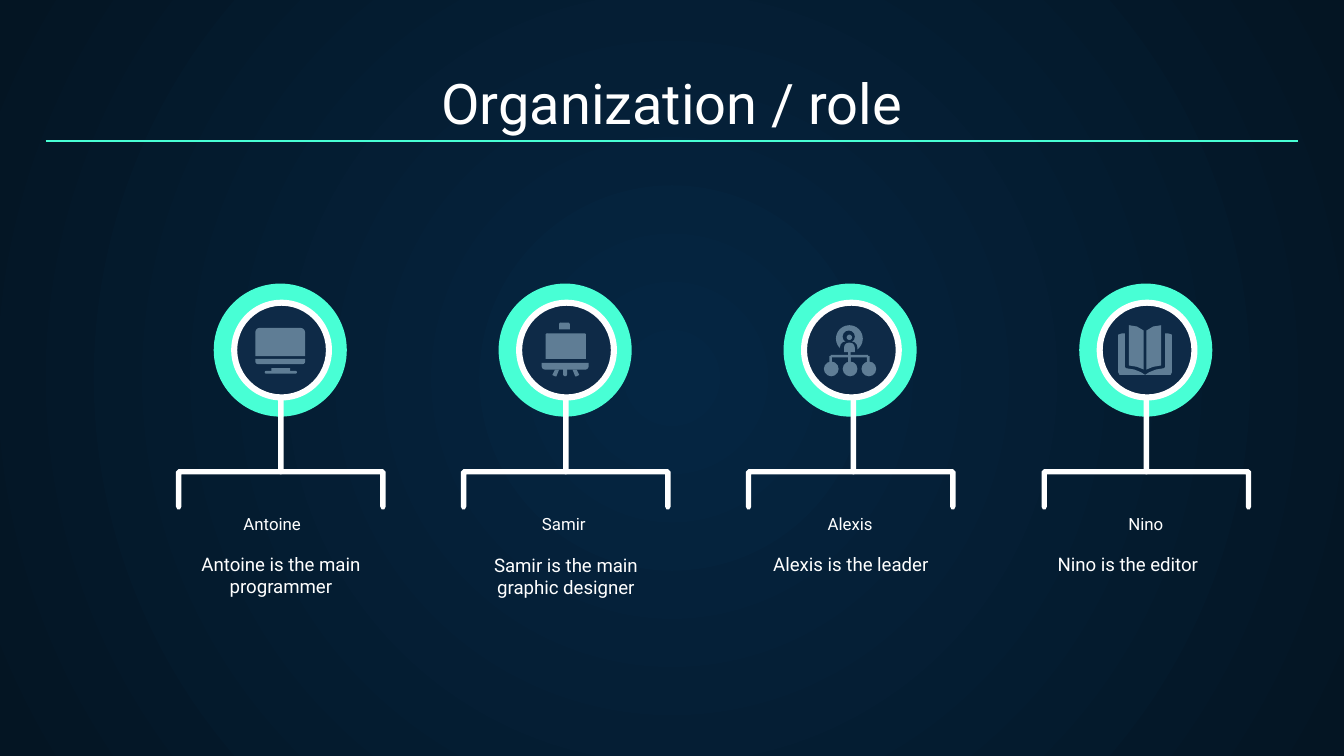
from lxml import etree
from pptx import Presentation
from pptx.dml.color import RGBColor
from pptx.enum.shapes import MSO_CONNECTOR, MSO_SHAPE
from pptx.enum.text import MSO_ANCHOR, PP_ALIGN
from pptx.oxml.ns import qn
from pptx.util import Inches, Pt

OVAL, RECT, RING = MSO_SHAPE.OVAL, MSO_SHAPE.RECTANGLE, MSO_SHAPE.DONUT
ROUND, DOME = MSO_SHAPE.ROUNDED_RECTANGLE, MSO_SHAPE.ROUND_2_SAME_RECTANGLE
LEFT, MID = PP_ALIGN.LEFT, PP_ALIGN.CENTER
TOP, LOW = MSO_ANCHOR.TOP, MSO_ANCHOR.BOTTOM
WHITE, TEAL, NAVY, GREY = "FFFFFF", "48FFD5", "0E2A47", "5F7D95"

deck = Presentation()
deck.slide_width, deck.slide_height = Inches(10), Inches(10 * 9 / 16)
slide = deck.slides.add_slide(deck.slide_layouts[6])
shapes = slide.shapes


def tint(color):
    return RGBColor.from_string(color)


def text(words, x, y, w, h, size=10, align=MID, anchor=TOP):
    frame = shapes.add_textbox(Inches(x), Inches(y), Inches(w), Inches(h)).text_frame
    frame.word_wrap = True
    frame.vertical_anchor = anchor
    frame.margin_left = frame.margin_right = Inches(0.1)
    frame.margin_top = frame.margin_bottom = Inches(0.1)
    para = frame.paragraphs[0]
    para.alignment = align
    run = para.add_run()
    run.text = words
    run.font.size, run.font.name = Pt(size), "Roboto"
    run.font.color.rgb = tint(WHITE)


def draw(form, color, box=None, adj=None, turn=0):
    if box:
        shape = shapes.add_shape(form, *[Inches(v) for v in box])
    else:
        spots = [(Inches(x), Inches(y)) for x, y in form]
        pen = shapes.build_freeform(*spots[0], scale=1)
        pen.add_line_segments(spots[1:], close=True)
        shape = pen.convert_to_shape()
    if adj is not None:
        shape.adjustments[0] = adj
    shape.rotation = turn
    shape.shadow.inherit = False
    shape.fill.solid()
    shape.fill.fore_color.rgb = tint(color)
    shape.line.fill.background()


back = slide.background.fill
back.gradient()
for stop, color in zip(back.gradient_stops, ("052643", "041523")):
    stop.color.rgb = tint(color)
for lin in list(slide.element.iter(qn("a:lin"))):
    glow = etree.Element(qn("a:path"), {"path": "circle"})
    etree.SubElement(glow, qn("a:fillToRect"), {k: "50000" for k in "ltrb"})
    lin.getparent().replace(lin, glow)

text("Organization / role", 0.34, 0.45, 9.32, 0.66, size=30, anchor=LOW)
rule = shapes.add_connector(MSO_CONNECTOR.STRAIGHT, Inches(0.34), Inches(1.05), Inches(9.66), Inches(1.05))
rule.line.color.rgb, rule.line.width = tint(TEAL), Pt(0.75)
etree.SubElement(rule.element.spPr, qn("a:effectLst"))

team = [
    ("Antoine", "Antoine is the main programmer", 2.09, 2.09, 2.03, 4.01, MID),
    ("Samir", "Samir is the main graphic designer", 4.21, 4.21, 4.2, 4.02, MID),
    ("Alexis", "Alexis is the leader", 6.33, 6.35, 6.33, 4.03, MID),
    ("Nino", "Nino is the editor", 8.53, 8.53, 8.53, 4.03, LEFT),
]
edge = [(0.78, 3.51), (0.78, 3.77), (0.77, 3.79), (0.75, 3.79), (0.74, 3.77), (0.74, 3.53)]

for name, role, mid, stem, label, top, align in team:
    half = [(0.76, 3.49)] + edge
    draw([(mid - x, y) for x, y in half] + [(mid + x, y) for x, y in half[::-1]], WHITE)
    draw(OVAL, TEAL, (mid - 0.5, 2.11, 0.99, 0.99))
    draw(ROUND, WHITE, (stem - 0.02, 2.53, 0.04, 1), adj=0.5)
    draw(OVAL, NAVY, (mid - 0.35, 2.25, 0.7, 0.7))
    draw(RING, WHITE, (mid - 0.37, 2.23, 0.75, 0.75), adj=0.06)
    text(name, label - 1.14, 3.84, 2.27, 0.21, size=9, anchor=LOW)
    text(role, mid - 0.76, top, 1.52, 0.55, align=align)

draw(DOME, GREY, (1.9, 2.44, 0.37, 0.21), adj=0.15)
draw(DOME, GREY, (1.9, 2.67, 0.37, 0.04), adj=0.5, turn=180)
draw(RECT, GREY, (2.02, 2.74, 0.14, 0.03))
draw(ROUND, GREY, (1.97, 2.76, 0.24, 0.02), adj=0.5)

draw(DOME, GREY, (4.16, 2.4, 0.08, 0.05), adj=0.25)
draw(DOME, GREY, (4.06, 2.48, 0.3, 0.19), adj=0.06)
draw(DOME, GREY, (4.03, 2.7, 0.35, 0.05), adj=0.5, turn=180)
draw(ROUND, GREY, (4.19, 2.73, 0.03, 0.07), adj=0.5)
for side in (-1, 1):
    leg = [(0.05, 2.75), (0.08, 2.75), (0.1, 2.79), (0.08, 2.8), (0.07, 2.8)]
    draw([(4.21 + side * x, y) for x, y in leg], GREY)

draw(OVAL, GREY, (6.22, 2.42, 0.2, 0.2))
draw(OVAL, NAVY, (6.27, 2.46, 0.09, 0.09))
draw(DOME, NAVY, (6.25, 2.54, 0.13, 0.09), adj=0.5)
draw(OVAL, GREY, (6.3, 2.49, 0.04, 0.04))
draw(DOME, GREY, (6.28, 2.55, 0.08, 0.07), adj=0.5)
draw(RECT, GREY, (6.31, 2.61, 0.02, 0.09))
draw(RECT, GREY, (6.18, 2.64, 0.28, 0.02))
for x in (6.18, 6.32, 6.46):
    draw(RECT, GREY, (x - 0.01, 2.65, 0.02, 0.06))
    draw(OVAL, GREY, (x - 0.05, 2.69, 0.11, 0.11))

for side in (-1, 1):
    page = [(0.01, 2.46), (0.06, 2.43), (0.12, 2.42), (0.12, 2.72), (0.06, 2.73), (0.01, 2.75)]
    cover = [(0.15, 2.48), (0.17, 2.48), (0.2, 2.49), (0.2, 2.77), (0.19, 2.79), (0, 2.79),
             (0.03, 2.77), (0.08, 2.75), (0.14, 2.74), (0.15, 2.73)]
    for part in (page, cover):
        draw([(8.52 + side * x, y) for x, y in part], GREY)

deck.save("out.pptx")
